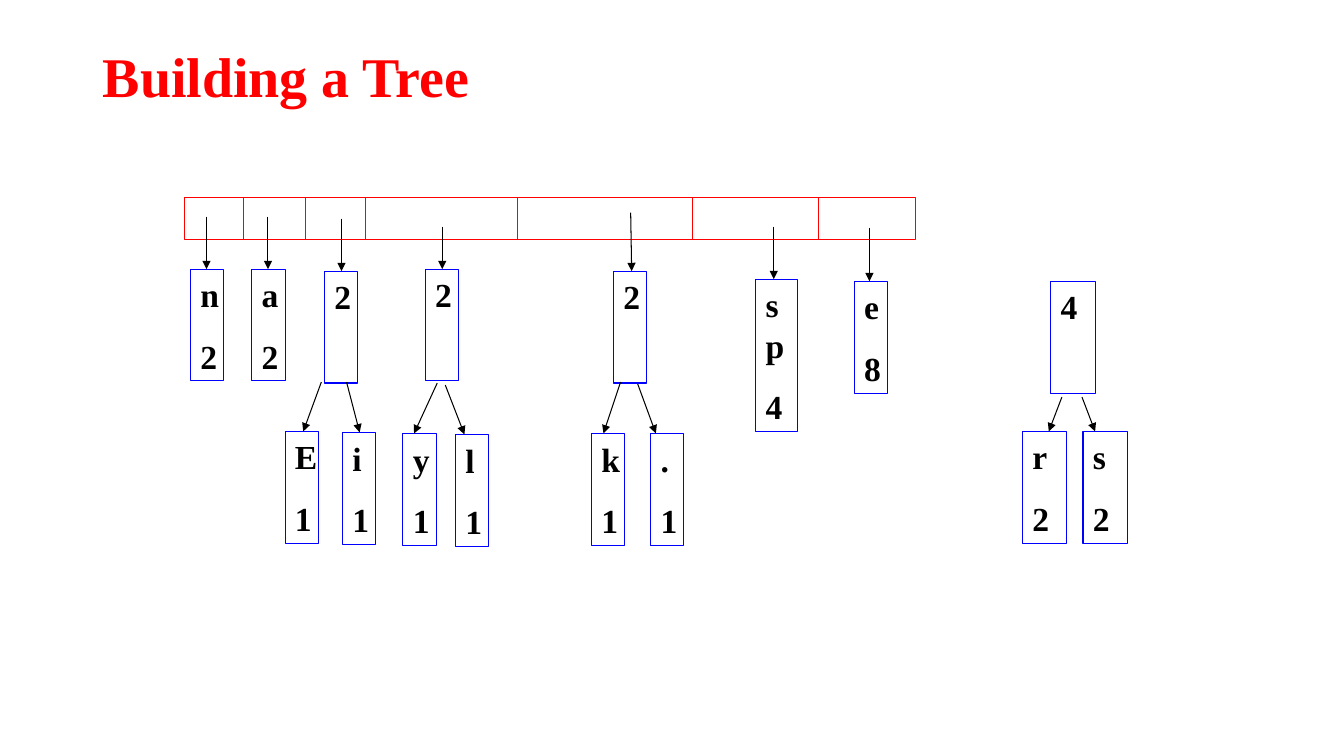
import pptx
import pptx.dml.color
import pptx.enum.shapes
import pptx.enum.text
import pptx.oxml.ns
import pptx.util
from lxml import etree

COLORS = {"red": "FF0000", "blue": "0000FF", "black": "000000", "white": "FFFFFF"}
FONT = "Times New Roman"
LINE_WIDTH = 0.75
NODE_HEIGHT = 1.11
WRAPPED_LINE = 0.4

TITLE = "Building a Tree"
QUEUE = (1.83, 1.96, 7.26, 0.42)
DIVIDERS = [2.42, 3.03, 3.63, 5.14, 6.87, 8.12]

# Each node: text lines, left, top, width, arrow start, x of the arrow head
QUEUED_TREES = [
    (["n", "2"], 1.89, 2.67, 0.33, (2.05, 2.15), 2.05),
    (["a", "2"], 2.50, 2.67, 0.33, (2.66, 2.15), 2.66),
    (["2"], 3.22, 2.69, 0.33, (3.39, 2.17), 3.39),
    (["E", "1"], 2.83, 4.28, 0.33, (3.19, 3.79), 3.01),
    (["i", "1"], 3.40, 4.29, 0.33, (3.44, 3.79), 3.57),
    (["2"], 4.22, 2.67, 0.33, (4.39, 2.25), 4.39),
    (["y", "1"], 4.00, 4.30, 0.33, (4.34, 3.80), 4.11),
    (["l", "1"], 4.52, 4.31, 0.33, (4.42, 3.82), 4.61),
    (["2"], 6.09, 2.69, 0.33, (6.26, 2.11), 6.27),
    (["k", "1"], 5.87, 4.30, 0.33, (6.16, 3.79), 5.99),
    ([".", "1"], 6.46, 4.30, 0.33, (6.33, 3.81), 6.51),
    (["sp", "4"], 7.50, 2.77, 0.42, (7.68, 2.25), 7.68),
    (["e", "8"], 8.48, 2.79, 0.33, (8.63, 2.26), 8.63),
]
NEW_TREE = [
    (["4"], 10.43, 2.79, 0.44, None, None),
    (["r", "2"], 10.15, 4.28, 0.44, (10.54, 3.94), 10.41),
    (["s", "2"], 10.75, 4.28, 0.44, (10.74, 3.94), 10.87),
]


def rgb(name):
    return pptx.dml.color.RGBColor.from_string(COLORS[name])


def inches(*values):
    return [pptx.util.Inches(value) for value in values]


def write_text(shape, lines, *, size, color, anchor, space_before=0, line_spacing=1.0):
    frame = shape.text_frame
    frame.word_wrap = True
    frame.auto_size = pptx.enum.text.MSO_AUTO_SIZE.NONE
    frame.vertical_anchor = anchor
    frame.margin_left, frame.margin_right = inches(0.1, 0.1)
    frame.margin_top, frame.margin_bottom = inches(0.05, 0.05)
    frame.text = "\n".join(lines)
    for index, paragraph in enumerate(frame.paragraphs):
        paragraph.alignment = pptx.enum.text.PP_ALIGN.LEFT
        paragraph.line_spacing = line_spacing
        paragraph.space_before = pptx.util.Pt(space_before if index else 0)
        paragraph.font.name = FONT
        paragraph.font.size = pptx.util.Pt(size)
        paragraph.font.bold = True
        paragraph.font.color.rgb = rgb(color)


def add_box(group, box, color, fill=None):
    shape = group.shapes.add_shape(pptx.enum.shapes.MSO_SHAPE.RECTANGLE, *inches(*box))
    shape.shadow.inherit = False
    if fill:
        shape.fill.solid()
        shape.fill.fore_color.rgb = rgb(fill)
    else:
        shape.fill.background()
    shape.line.color.rgb = rgb(color)
    shape.line.width = pptx.util.Pt(LINE_WIDTH)
    return shape


def add_line(group, start, end, color, arrow=False):
    line = group.shapes.add_connector(
        pptx.enum.shapes.MSO_CONNECTOR.STRAIGHT, *inches(*start, *end))
    line.line.color.rgb = rgb(color)
    line.line.width = pptx.util.Pt(LINE_WIDTH)
    properties = line.element.spPr
    if arrow:
        etree.SubElement(properties.find(pptx.oxml.ns.qn("a:ln")),
                         pptx.oxml.ns.qn("a:tailEnd"), type="triangle")
    etree.SubElement(properties, pptx.oxml.ns.qn("a:effectLst"))


def add_nodes(group, nodes):
    for lines, left, top, width, arrow_start, head_x in nodes:
        extra_lines = sum(len(line) - 1 for line in lines)
        height = NODE_HEIGHT + WRAPPED_LINE * extra_lines
        node = add_box(group, (left, top, width, height), "blue")
        write_text(node, lines, size=24, color="black", space_before=15,
                   anchor=pptx.enum.text.MSO_ANCHOR.TOP)
        if arrow_start:
            add_line(group, arrow_start, (head_x, top), "black", arrow=True)


def main():
    presentation = pptx.Presentation()
    presentation.slide_width, presentation.slide_height = inches(13.34, 7.5)
    slide = presentation.slides.add_slide(presentation.slide_layouts[5])

    title = slide.shapes.title
    title.left, title.top, title.width, title.height = inches(0.92, 0.4, 11.5, 0.77)
    write_text(title, [TITLE], size=40, color="red", line_spacing=0.9,
               anchor=pptx.enum.text.MSO_ANCHOR.MIDDLE)

    queue = slide.shapes.add_group_shape()
    add_box(queue, QUEUE, "red", fill="white")
    top, bottom = QUEUE[1], QUEUE[1] + QUEUE[3]
    for x in DIVIDERS:
        add_line(queue, (x, top), (x, bottom), "red")
    add_nodes(queue, QUEUED_TREES)
    add_nodes(slide.shapes.add_group_shape(), NEW_TREE)

    presentation.save("out.pptx")


if __name__ == "__main__":
    main()
